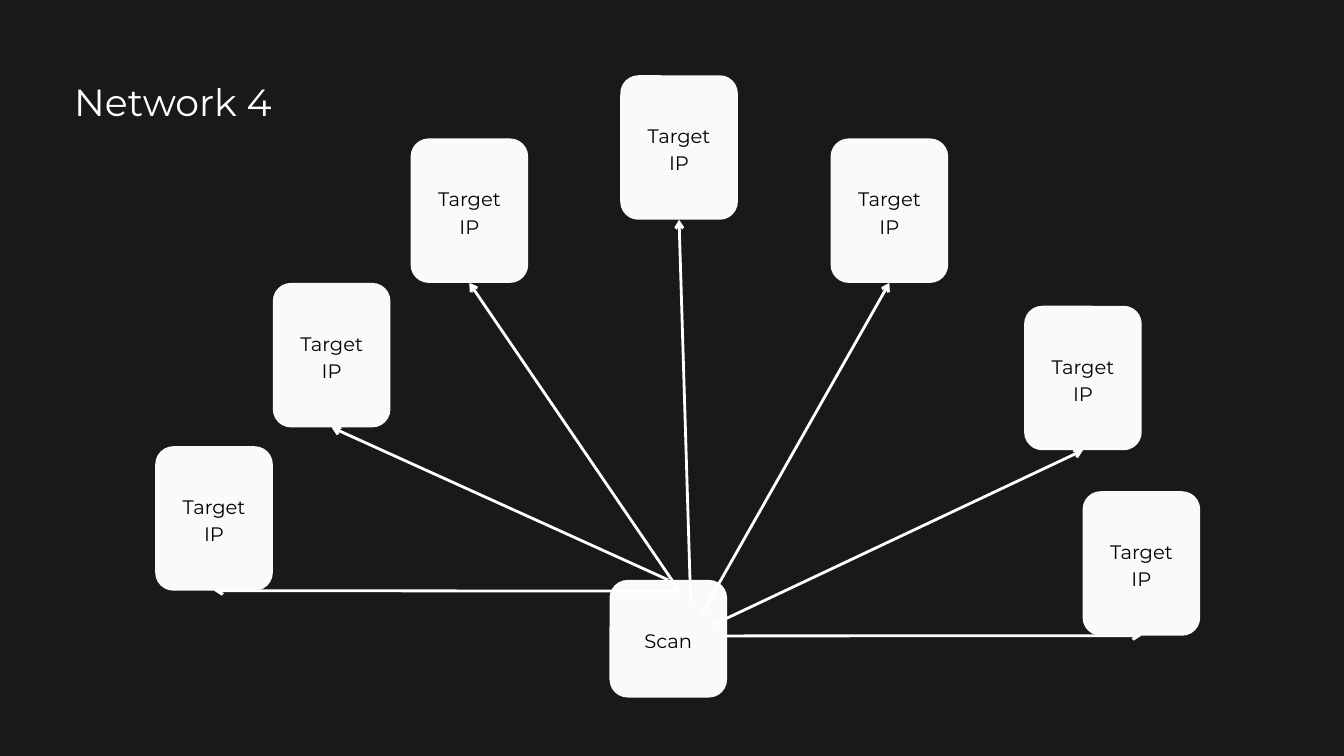
from lxml import etree
from pptx import Presentation
from pptx.dml.color import RGBColor
from pptx.enum import shapes, text
from pptx.oxml import ns
from pptx.util import Inches, Pt

COLORS = {"back": "191919", "card": "FAFAFA", "ink": "000000", "light": "FFFFFF"}
FONT = "Montserrat"
CARD_W, CARD_H, RADIUS = 1.75, 2.15, 0.27
SCANNER = (9.07, 8.63, CARD_W, CARD_W)
STEP = 1 / 6
# left, top, steps along the scanner's diagonal where the arrow starts
TARGETS = [
    (4.06, 4.21, 0),
    (6.11, 2.06, 1),
    (9.23, 1.12, 2),
    (2.31, 6.64, 1),
    (12.36, 2.06, 3),
    (15.24, 4.55, 4),
    (16.11, 7.31, 5),
]


def rgb(name):
    """Return the named colour."""
    return RGBColor.from_string(COLORS[name])


def write(sp, words, size, color, spacing, side=0.0):
    """Put one centred paragraph into a shape."""
    tf = sp.text_frame
    tf.word_wrap = True
    tf.vertical_anchor = text.MSO_ANCHOR.MIDDLE
    tf.margin_left = tf.margin_right = Inches(side)
    tf.margin_top = tf.margin_bottom = 0
    p = tf.paragraphs[0]
    p.alignment = text.PP_ALIGN.CENTER
    p.line_spacing = Pt(spacing)
    r = p.add_run()
    r.text = words
    r.font.name = FONT
    r.font.size = Pt(size)
    r.font.color.rgb = rgb(color)


def add_title(s, box, words):
    """Add the slide title."""
    sp = s.shapes.add_textbox(*map(Inches, box))
    write(sp, words, size=40.5, color="light", spacing=56.7)


def add_card(s, box, words):
    """Add a rounded card with its label."""
    sp = s.shapes.add_shape(shapes.MSO_SHAPE.ROUNDED_RECTANGLE, *map(Inches, box))
    sp.adjustments[0] = RADIUS / min(box[2:])
    sp.shadow.inherit = False
    sp.fill.solid()
    sp.fill.fore_color.rgb = rgb("card")
    sp.line.fill.background()
    write(sp, words, size=20.9, color="ink", spacing=29.3, side=0.3)
    return sp


def add_arrow(s, start, end):
    """Add a straight arrow between two points."""
    c = s.shapes.add_connector(
        shapes.MSO_CONNECTOR.STRAIGHT, *map(Inches, (*start, *end)))
    c.line.color.rgb = rgb("light")
    c.line.width = Pt(3)
    props = c.element.spPr
    etree.SubElement(props.find(ns.qn("a:ln")), ns.qn("a:tailEnd"), type="arrow")
    etree.SubElement(props, ns.qn("a:effectLst"))
    return c


def add_network(s, box):
    """Add the scanner in its box and an arrow to every target."""
    left, top, width, height = box
    scanner = add_card(s, box, "Scan")
    for x, y, steps in TARGETS:
        start = (left + width / 2 + steps * STEP, top + steps * STEP)
        c = add_arrow(s, start, (x + CARD_W / 2, y + CARD_H))
        target = add_card(s, (x, y, CARD_W, CARD_H), "Target IP")
        if steps == 0:
            c.begin_connect(scanner, 0)
        c.end_connect(target, 2)


def main():
    """Build the slide and save it."""
    prs = Presentation()
    prs.slide_width, prs.slide_height = Inches(20), Inches(11.25)
    s = prs.slides.add_slide(prs.slide_layouts[6])
    s.background.fill.solid()
    s.background.fill.fore_color.rgb = rgb("back")
    add_title(s, (1.1, 1.08, 2.95, 0.74), "Network 4")
    add_network(s, SCANNER)
    prs.save("out.pptx")


if __name__ == "__main__":
    main()
